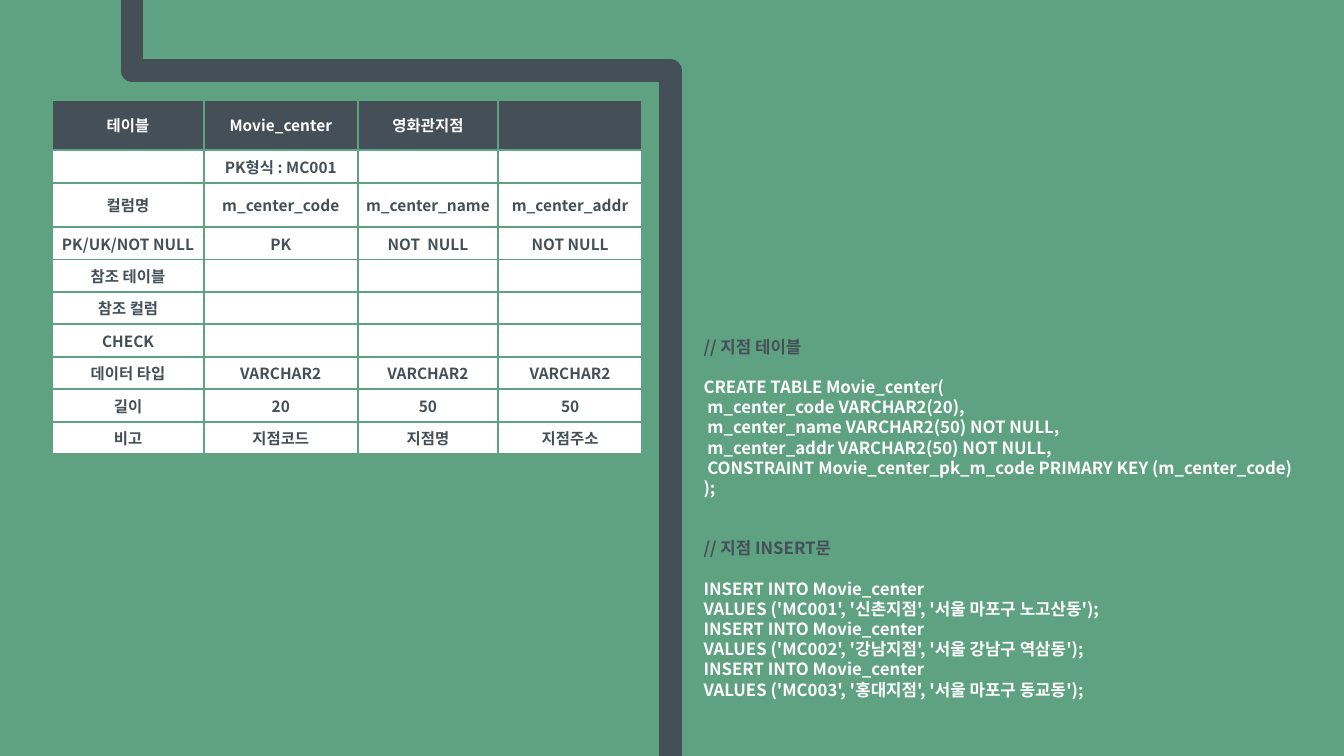
from lxml.etree import SubElement
from pptx import Presentation
from pptx.dml.color import RGBColor
from pptx.enum.shapes import MSO_CONNECTOR
from pptx.enum.text import MSO_ANCHOR, MSO_AUTO_SIZE, PP_ALIGN
from pptx.oxml import parse_xml
from pptx.oxml.ns import nsdecls, qn
from pptx.util import Inches, Pt

FONT = "Noto Sans CJK KR"
GREEN, SLATE, WHITE = "5FA281", "454F58", "FFFFFF"
LINE_HEIGHT = 14.4

COLUMN_WIDTHS = [1.5, 1.53, 1.39, 1.43]
ROW_HEIGHTS = [0.5, 0.28, 0.44] + [0.28] * 7
TABLE_ROWS = [
    ["테이블", "Movie_center", "영화관지점", ""],
    ["", "PK형식 : MC001", "", ""],
    ["컬럼명", "m_center_code", "m_center_name", "m_center_addr"],
    ["PK/UK/NOT NULL", "PK", "NOT  NULL", "NOT NULL"],
    ["참조 테이블", "", "", ""],
    ["참조 컬럼", "", "", ""],
    ["CHECK", "", "", ""],
    ["데이터 타입", "VARCHAR2", "VARCHAR2", "VARCHAR2"],
    ["길이", "20", "50", "50"],
    ["비고", "지점코드", "지점명", "지점주소"],
]

# Each block: heading, empty lines above the heading, statement lines
SQL_BLOCKS = [
    ("// 지점 테이블", 0, [
        "CREATE TABLE Movie_center(",
        " m_center_code VARCHAR2(20),",
        " m_center_name VARCHAR2(50) NOT NULL,",
        " m_center_addr VARCHAR2(50) NOT NULL,",
        " CONSTRAINT Movie_center_pk_m_code PRIMARY KEY (m_center_code)",
        ");",
    ]),
    ("// 지점 INSERT문", 2, [
        "INSERT INTO Movie_center",
        "VALUES ('MC001', '신촌지점', '서울 마포구 노고산동');",
        "INSERT INTO Movie_center",
        "VALUES ('MC002', '강남지점', '서울 강남구 역삼동');",
        "INSERT INTO Movie_center",
        "VALUES ('MC003', '홍대지점', '서울 마포구 동교동');",
    ]),
]

BAR_SEGMENTS = [
    (1.31, -0.25, 1.31, 0.7),
    (1.31, 0.7, 6.65, 0.7),
    (6.65, 0.7, 6.65, 7.64),
]


def paint(fill, color):
    fill.solid()
    fill.fore_color.rgb = RGBColor.from_string(color)


def format_runs(paragraph, size, color):
    for run in paragraph.runs:
        run.font.size = Pt(size)
        run.font.bold = True
        run.font.name = FONT
        paint(run.font.fill, color)
        east_asian = SubElement(run.font._element, qn("a:ea"))
        east_asian.set("typeface", FONT)


def add_borders(cell, color, width):
    properties = cell._tc.get_or_add_tcPr()
    for index, side in enumerate(("lnL", "lnR", "lnT", "lnB")):
        properties.insert(index, parse_xml(
            f'<a:{side} {nsdecls("a")} w="{Pt(width)}"><a:solidFill>'
            f'<a:srgbClr val="{color}"/></a:solidFill></a:{side}>'))


def fill_cell(cell, text, background, color):
    cell.text_frame.text = text
    cell.vertical_anchor = MSO_ANCHOR.MIDDLE
    cell.margin_left = cell.margin_right = Inches(0.05)
    cell.margin_top = cell.margin_bottom = Inches(0.05)
    paragraph = cell.text_frame.paragraphs[0]
    paragraph.alignment = PP_ALIGN.CENTER
    format_runs(paragraph, 11, color)
    if not text:
        # An empty cell keeps its row low only with a small end mark
        SubElement(paragraph._p, qn("a:endParaRPr")).set("sz", "1100")
    paint(cell.fill, background)
    add_borders(cell, GREEN, 1.5)


def add_column_table(slide, left, top):
    table = slide.shapes.add_table(
        len(TABLE_ROWS), len(COLUMN_WIDTHS), Inches(left), Inches(top),
        Inches(sum(COLUMN_WIDTHS)), Inches(sum(ROW_HEIGHTS))).table
    for column, width in zip(table.columns, COLUMN_WIDTHS):
        column.width = Inches(width)
    for row, height in zip(table.rows, ROW_HEIGHTS):
        row.height = Inches(height)
    for row_index, texts in enumerate(TABLE_ROWS):
        background, color = (WHITE, SLATE) if row_index else (SLATE, WHITE)
        for column_index, text in enumerate(texts):
            fill_cell(table.cell(row_index, column_index), text, background, color)


def add_bar(slide, start_x, start_y, end_x, end_y):
    bar = slide.shapes.add_connector(
        MSO_CONNECTOR.STRAIGHT, Inches(start_x), Inches(start_y),
        Inches(end_x), Inches(end_y))
    bar.line.width = Pt(16)
    paint(bar.line.fill, SLATE)
    properties = bar._element.spPr
    properties.find(qn("a:ln")).set("cap", "rnd")
    SubElement(properties, qn("a:effectLst"))


def add_sql_text(slide, left, top, width, height):
    box = slide.shapes.add_textbox(
        Inches(left), Inches(top), Inches(width), Inches(height))
    text_frame = box.text_frame
    text_frame.word_wrap = True
    text_frame.auto_size = MSO_AUTO_SIZE.SHAPE_TO_FIT_TEXT
    lines = []
    for heading, gap, statements in SQL_BLOCKS:
        lines.append((heading, SLATE, gap))
        lines += [(statement, WHITE, 0 if index else 1)
                  for index, statement in enumerate(statements)]
    text_frame.text = "\n".join(text for text, _, _ in lines)
    for paragraph, (_, color, gap) in zip(text_frame.paragraphs, lines):
        paragraph.line_spacing = Pt(LINE_HEIGHT)
        paragraph.space_before = Pt(gap * LINE_HEIGHT)
        format_runs(paragraph, 12, color)


def main():
    presentation = Presentation()
    presentation.slide_width = Inches(13.33)
    presentation.slide_height = Inches(7.5)
    slide = presentation.slides.add_slide(presentation.slide_layouts[6])
    paint(slide.background.fill, GREEN)
    add_column_table(slide, 0.52, 0.99)
    for segment in BAR_SEGMENTS:
        add_bar(slide, *segment)
    add_sql_text(slide, 6.88, 3.29, 6.67, 3.74)
    presentation.save("out.pptx")


if __name__ == "__main__":
    main()
